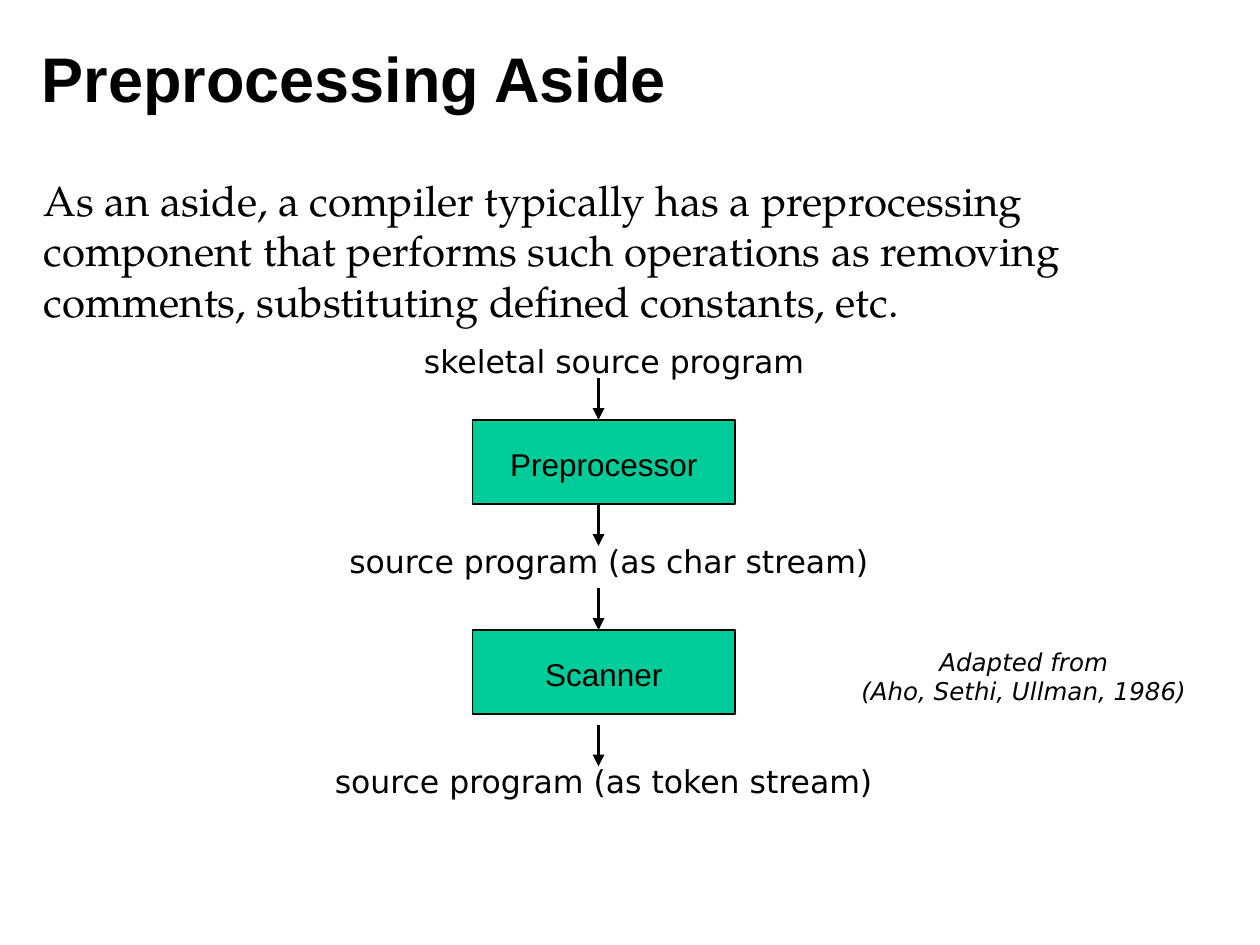
from dataclasses import dataclass
from lxml.etree import SubElement
from pptx import Presentation
from pptx.dml.color import RGBColor
from pptx.enum.shapes import MSO_CONNECTOR, MSO_SHAPE
from pptx.enum.text import MSO_ANCHOR, PP_ALIGN
from pptx.oxml.ns import qn
from pptx.util import Inches, Pt

COLS, ROWS = 120, 90
WIDE, HIGH = Inches(10), Inches(7.5)
INK, GREEN = "000000", "00CC99"
HEAD = {"name": "Arial", "size": Pt(36), "bold": True}
BODY = {"name": "TeX Gyre Pagella", "size": Pt(24)}
STAGE = {"name": "Arial", "size": Pt(18)}
LABEL = {"name": "DejaVu Sans", "size": Pt(18)}
CITE = {"name": "DejaVu Sans", "size": Pt(14), "italic": True}
MID = {"alignment": PP_ALIGN.CENTER}
LEFT = {"alignment": PP_ALIGN.LEFT}


@dataclass
class Area:
    col: float
    row: float
    cols: float
    rows: float

    def place(self) -> tuple[int, int, int, int]:
        return across(self.col), down(self.row), across(self.cols), down(self.rows)


@dataclass
class Note:
    lines: list[str]
    area: Area
    font: dict
    para: dict
    anchor: MSO_ANCHOR = MSO_ANCHOR.TOP


@dataclass
class Stage:
    name: str
    row: float


def across(col: float) -> int:
    return round(WIDE * col / COLS)


def down(row: float) -> int:
    return round(HIGH * row / ROWS)


def paint(code: str) -> RGBColor:
    return RGBColor.from_string(code)


def apply(item, values: dict) -> None:
    for key, value in values.items():
        setattr(item, key, value)


def write(frame, lines: list[str], font: dict, para: dict) -> None:
    frame.word_wrap = True
    for num, line in enumerate(lines):
        part = frame.paragraphs[0] if num == 0 else frame.add_paragraph()
        apply(part, para)
        run = part.add_run()
        run.text = line
        apply(run.font, font)
        run.font.color.rgb = paint(INK)


def draw_note(slide, note: Note) -> None:
    frame = slide.shapes.add_textbox(*note.area.place()).text_frame
    frame.vertical_anchor = note.anchor
    write(frame, note.lines, note.font, note.para)


def draw_stage(slide, stage: Stage) -> None:
    area = Area(45, stage.row, 25, 8)
    box = slide.shapes.add_shape(MSO_SHAPE.RECTANGLE, *area.place())
    box.shadow.inherit = False
    box.fill.solid()
    box.fill.fore_color.rgb = paint(GREEN)
    box.line.color.rgb = paint(INK)
    box.line.width = Pt(0.75)
    apply(box.text_frame, {"vertical_anchor": MSO_ANCHOR.TOP, "margin_top": Inches(0.2)})
    write(box.text_frame, [stage.name], STAGE, MID)


def draw_arrow(slide, row: float) -> None:
    mid = across(57)
    arrow = slide.shapes.add_connector(
        MSO_CONNECTOR.STRAIGHT, mid, down(row), mid, down(row + 4)
    )
    arrow.line.color.rgb = paint(INK)
    arrow.line.width = Pt(2.25)
    SubElement(arrow.line._get_or_add_ln(), qn("a:tailEnd"), type="triangle")
    SubElement(arrow._element.spPr, qn("a:effectLst"))


NOTES = [
    Note(["Preprocessing Aside"], Area(2.8, 1.8, 96.4, 11.2), HEAD, LEFT, MSO_ANCHOR.MIDDLE),
    Note(
        [
            "As an aside, a compiler typically has a preprocessing component "
            "that performs such operations as removing comments, "
            "substituting defined constants, etc."
        ],
        Area(3, 16, 112.7, 16), BODY, LEFT,
    ),
    Note(["skeletal source program"], Area(35, 32, 47, 4.8), LABEL, MID),
    Note(["source program (as char stream)"], Area(30, 51, 56, 4.8), LABEL, MID),
    Note(["source program (as token stream)"], Area(27, 72, 61, 4.8), LABEL, MID),
    Note(["Adapted from", "(Aho, Sethi, Ullman, 1986)"], Area(79, 61, 37, 6.9), CITE, MID),
]
STAGES = [Stage("Preprocessor", 40), Stage("Scanner", 60)]
ARROWS = [36, 48, 56, 69]


def main() -> None:
    deck = Presentation()
    apply(deck, {"slide_width": WIDE, "slide_height": HIGH})
    slide = deck.slides.add_slide(deck.slide_layouts[6])
    for stage in STAGES:
        draw_stage(slide, stage)
    for row in ARROWS:
        draw_arrow(slide, row)
    for note in NOTES:
        draw_note(slide, note)
    deck.save("out.pptx")


if __name__ == "__main__":
    main()
